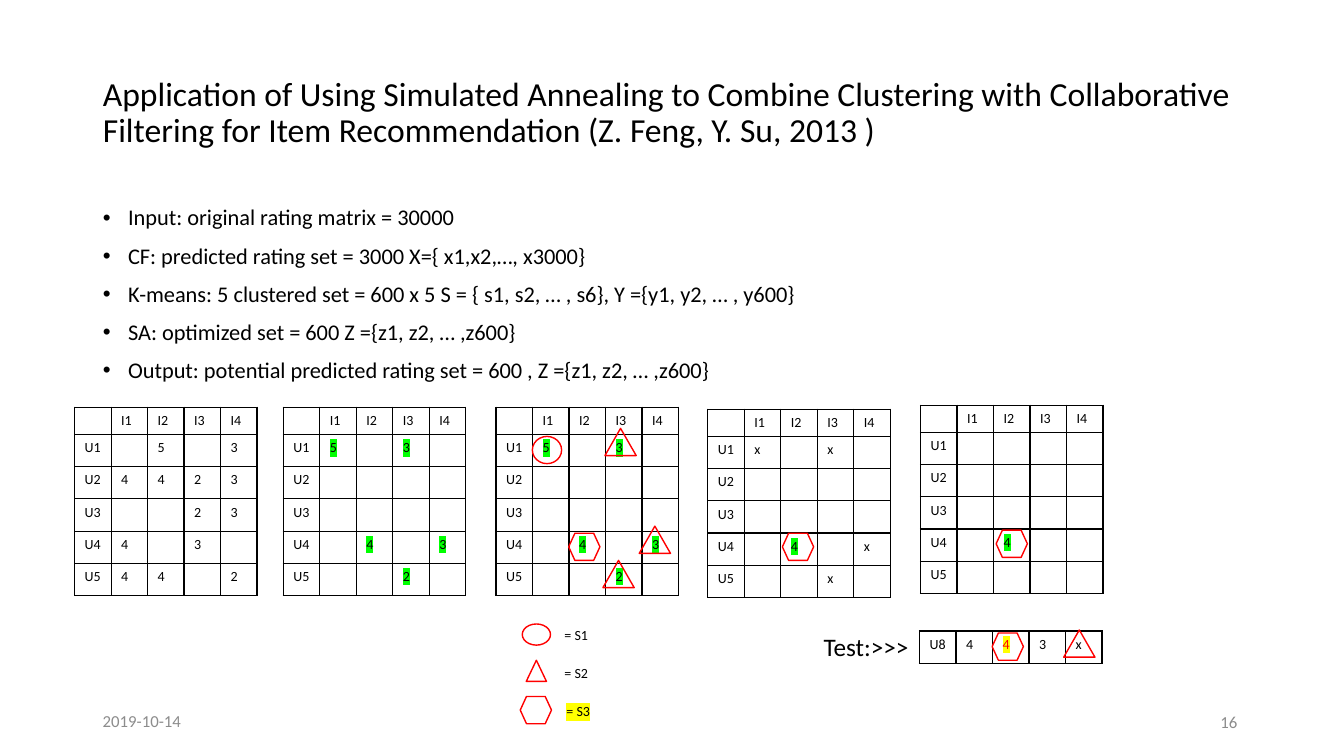
"""Build the slide on simulated annealing with clustering and collaborative filtering."""
from lxml.etree import SubElement
from pptx import Presentation
from pptx.dml.color import RGBColor
from pptx.enum.shapes import MSO_SHAPE
from pptx.enum.text import MSO_ANCHOR, MSO_AUTO_SIZE, PP_ALIGN
from pptx.oxml.ns import qn
from pptx.util import Inches, Pt

COLORS = {
    "black": "000000",
    "gray": "8C8C8C",
    "red": "FF0000",
    "green": "00FF00",
    "yellow": "FFFF00",
}
COLUMN_WIDTH = 0.362
HEADER_HEIGHT = 0.27
ROW_HEIGHT = 0.32


def format_text(paragraph, size, color="black", highlight=None):
    """Style every run of a paragraph, with an optional highlight."""
    for run in paragraph.runs:
        run.font.name = "Calibri"
        run.font.size = Pt(size)
        run.font.color.rgb = RGBColor.from_string(COLORS[color])
        if highlight:
            properties = run.font._element
            mark = SubElement(properties, qn("a:highlight"))
            SubElement(mark, qn("a:srgbClr"), val=COLORS[highlight])
            properties.find(qn("a:solidFill")).addnext(mark)


def add_ratings(left, top, rows):
    """Draw a rating grid; '.' is empty, a trailing 'g' or 'y' marks a highlight."""
    heights = [HEADER_HEIGHT] * (len(rows) > 1) + [ROW_HEIGHT] * max(len(rows) - 1, 1)
    frame = slide.shapes.add_table(
        len(rows), 5, Inches(left), Inches(top), Inches(5 * COLUMN_WIDTH), Inches(sum(heights)))
    table = frame.table
    table.first_row = False
    table.horz_banding = False
    for column in table.columns:
        column.width = Inches(COLUMN_WIDTH)
    for row_index, (row, height) in enumerate(zip(rows, heights)):
        table.rows[row_index].height = Inches(height)
        for column_index, value in enumerate(row.split()):
            cell = table.cell(row_index, column_index)
            highlight = {"g": "green", "y": "yellow"}.get(value[-1])
            paragraph = cell.text_frame.paragraphs[0]
            paragraph.text = value.strip(".gy")
            format_text(paragraph, 10, "red" if highlight == "yellow" else "black", highlight)
            paragraph._p.get_or_add_endParaRPr().set("sz", "1000")
            cell_properties = cell._tc.get_or_add_tcPr()
            for side in ("lnL", "lnR", "lnT", "lnB"):
                border = SubElement(cell_properties, qn(f"a:{side}"), w=str(Pt(1)))
                fill = SubElement(border, qn("a:solidFill"))
                SubElement(fill, qn("a:srgbClr"), val=COLORS["black"])
            cell.fill.background()


presentation = Presentation()
presentation.slide_width = Inches(13.33)
presentation.slide_height = Inches(7.5)
slide = presentation.slides.add_slide(presentation.slide_layouts[1])

title = slide.shapes.title
title.left, title.top, title.width, title.height = map(Inches, (0.92, 0.4, 11.5, 1.45))
title.text_frame.text = (
    "Application of Using Simulated Annealing to Combine Clustering with "
    "Collaborative Filtering for Item Recommendation (Z. Feng, Y. Su, 2013 )")
title.text_frame.vertical_anchor = MSO_ANCHOR.MIDDLE
title.text_frame.auto_size = MSO_AUTO_SIZE.NONE
title_paragraph = title.text_frame.paragraphs[0]
title_paragraph.alignment = PP_ALIGN.LEFT
title_paragraph.line_spacing = 0.9
format_text(title_paragraph, 24)

body = slide.placeholders[1]
body.left, body.top, body.width, body.height = map(Inches, (0.92, 2, 11.5, 1.9))
body.text_frame.text = "\n".join([
    "Input: original rating matrix = 30000",
    "CF: predicted rating set = 3000 X={ x1,x2,…, x3000}",
    "K-means: 5 clustered set = 600 x 5 S = { s1, s2, … , s6}, Y ={y1, y2, … , y600}",
    "SA: optimized set = 600 Z ={z1, z2, … ,z600}",
    "Output: potential predicted rating set = 600 , Z ={z1, z2, … ,z600}",
])
body.text_frame.auto_size = MSO_AUTO_SIZE.NONE
for index, paragraph in enumerate(body.text_frame.paragraphs):
    paragraph_properties = paragraph._p.get_or_add_pPr()
    paragraph_properties.set("marL", str(Inches(0.25)))
    paragraph_properties.set("indent", str(Inches(-0.25)))
    SubElement(paragraph_properties, qn("a:buFont"), typeface="Arial")
    SubElement(paragraph_properties, qn("a:buChar"), char="•")
    paragraph.line_spacing = 0.9
    paragraph.space_before = Pt(10 if index else 0)
    format_text(paragraph, 16)

header = ". I1 I2 I3 I4"
original_ratings = [header, "U1 . 5 . 3", "U2 4 4 2 3", "U3 . . 2 3", "U4 4 . 3 .", "U5 4 4 . 2"]
original_ratings[1] = "U1 . 5 . 3"
predicted_ratings = [
    header, "U1 5g . 3g .", "U2 . . . .", "U3 . . . .", "U4 . 4g . 3g", "U5 . . 2g ."]
selected_ratings = [
    header, "U1 x . x .", "U2 . . . .", "U3 . . . .", "U4 . 4g . x", "U5 . . x ."]
output_ratings = [
    header, "U1 . . . .", "U2 . . . .", "U3 . . . .", "U4 . 4g . .", "U5 . . . ."]
for left, top, rows in [
    (0.74, 4.04, original_ratings),
    (2.81, 4.04, predicted_ratings),
    (4.92, 4.04, predicted_ratings),
    (7.02, 4.06, selected_ratings),
    (9.13, 4.02, output_ratings),
    (9.12, 6.26, ["U8 4 4y 3 x"]),
]:
    add_ratings(left, top, rows)

hexagon = MSO_SHAPE.FLOWCHART_PREPARATION
triangle = MSO_SHAPE.ISOSCELES_TRIANGLE
for kind, left, top, width, height in [
    (MSO_SHAPE.OVAL, 5.28, 4.33, 0.29, 0.27),
    (triangle, 6, 4.25, 0.31, 0.27),
    (triangle, 6.34, 5.22, 0.31, 0.27),
    (triangle, 5.98, 5.56, 0.31, 0.27),
    (hexagon, 5.64, 5.29, 0.31, 0.27),
    (hexagon, 7.76, 5.29, 0.31, 0.27),
    (hexagon, 9.88, 5.26, 0.31, 0.27),
    (hexagon, 9.84, 6.28, 0.31, 0.27),
    (triangle, 10.55, 6.25, 0.31, 0.27),
    (MSO_SHAPE.OVAL, 5.18, 6.19, 0.28, 0.21),
    (triangle, 5.22, 6.55, 0.2, 0.21),
    (hexagon, 5.16, 6.91, 0.31, 0.27),
]:
    marker = slide.shapes.add_shape(kind, *map(Inches, (left, top, width, height)))
    marker.shadow.inherit = False
    marker.fill.background()
    marker.line.color.rgb = RGBColor.from_string(COLORS["red"])
    marker.line.width = Pt(1)

for text, left, top, width, height, size, color, highlight in [
    ("= S1", 5.5, 6.16, 0.54, 0.27, 10, "black", None),
    ("= S2", 5.5, 6.54, 0.54, 0.27, 10, "black", None),
    ("= S3", 5.52, 6.92, 0.54, 0.27, 10, "black", "yellow"),
    ("Test:>>>", 8.07, 6.21, 1.05, 0.4, 18, "black", None),
    ("2019-10-14", 0.92, 6.95, 3, 0.4, 12, "gray", None),
    ("16", 9.37, 6.96, 3, 0.4, 12, "gray", None),
]:
    label = slide.shapes.add_textbox(*map(Inches, (left, top, width, height)))
    label.text_frame.text = text
    label.text_frame.word_wrap = text != "Test:>>>"
    label.text_frame.vertical_anchor = MSO_ANCHOR.MIDDLE
    label_paragraph = label.text_frame.paragraphs[0]
    label_paragraph.alignment = PP_ALIGN.RIGHT if text == "16" else PP_ALIGN.LEFT
    format_text(label_paragraph, size, color, highlight)

presentation.save("out.pptx")
